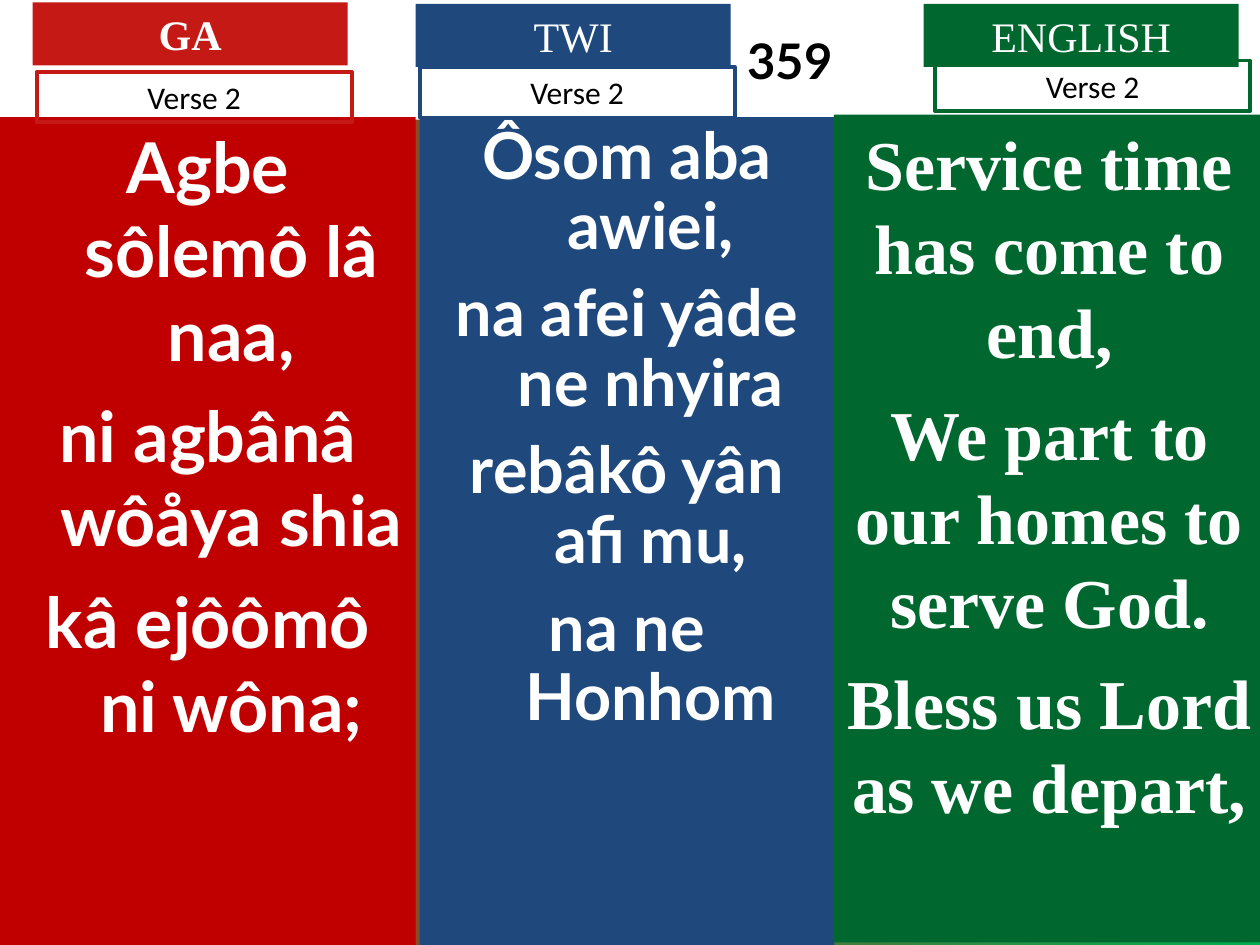
from pptx import Presentation, util as u
from pptx.dml.color import RGBColor
from pptx.enum import shapes, text

HYMN = "359"
VERSE = "Verse 2"
WHITE, BLACK = "FFFFFF", "000000"
BACKGROUND = ("C51915", "00B050")
PANEL_HEIGHT = 16.69
LABEL_WIDTH, HEADER_HEIGHT, VERSE_HEIGHT = 6.35, 1.27, 1.02
HANGING = 0.95

COLUMNS = [
    {
        "name": "GA", "bold": True, "accent": "C51915", "fill": "C00000",
        "panel": (0, 2.36, 8.38), "header": (0.66, 0.05), "verse": (0.74, 1.45),
        "lines": ["Agbe sôlemô lâ naa,", "ni agbânâ wôåya shia", "kâ ejôômô ni wôna;"],
        "style": {"size": 40, "font": "Lato", "hanging": HANGING},
    },
    {
        "name": "TWI", "bold": False, "accent": "1F497D", "fill": "1F497D",
        "panel": (8.46, 2.36, 8.36), "header": (8.38, 0.08), "verse": (8.46, 1.35),
        "lines": ["Ôsom aba awiei,", "na afei yâde ne nhyira", "rebâkô yân afi mu,", "na ne Honhom"],
        "style": {"size": 37, "font": "Lato", "hanging": HANGING, "spacing": 0.9},
    },
    {
        "name": "ENGLISH", "bold": False, "accent": "00682F", "fill": "00682F",
        "panel": (16.81, 2.31, 8.69), "header": (18.62, 0.08), "verse": (18.85, 1.22),
        "lines": ["Service time has come to end,", "We part to our homes to serve God.",
                  "Bless us Lord as we depart,"],
        "style": {"size": 40, "font": "Times New Roman", "spacing": u.Pt(48)},
    },
]


def color(value):
    return RGBColor.from_string(value)


def write(box, lines, size, font, ink=WHITE, bold=False, hanging=0, spacing=None,
          anchor=text.MSO_ANCHOR.TOP):
    frame = box.text_frame
    frame.word_wrap = True
    frame.auto_size = text.MSO_AUTO_SIZE.NONE
    frame.vertical_anchor = anchor
    for index, line in enumerate(lines):
        para = frame.add_paragraph() if index else frame.paragraphs[0]
        para.alignment = text.PP_ALIGN.CENTER
        para.space_before = u.Pt(10 if index else 0)
        if spacing:
            para.line_spacing = spacing
        if hanging:
            properties = para._p.get_or_add_pPr()
            properties.set("marL", str(u.Cm(hanging)))
            properties.set("indent", str(-u.Cm(hanging)))
        span = para.add_run()
        span.text = line
        span.font.size = u.Pt(size)
        span.font.name = font
        span.font.bold = bold
        span.font.color.rgb = color(ink)


def add_box(page, left, top, width, height, fill=None, line=None):
    box = page.shapes.add_shape(shapes.MSO_SHAPE.RECTANGLE,
                                u.Cm(left), u.Cm(top), u.Cm(width), u.Cm(height))
    box.shadow.inherit = False
    if fill:
        box.fill.solid()
        box.fill.fore_color.rgb = color(fill)
    else:
        box.fill.background()
    if line:
        box.line.color.rgb = color(line)
        box.line.width = u.Pt(2.25)
    else:
        box.line.fill.background()
    return box


def add_column(page, column):
    left, top, width = column["panel"]
    panel = add_box(page, left, top, width, PANEL_HEIGHT, fill=column["fill"])
    write(panel, column["lines"], bold=True, **column["style"])
    header = add_box(page, *column["header"], LABEL_WIDTH, HEADER_HEIGHT, fill=column["accent"])
    write(header, [column["name"]], 24, "Times New Roman", bold=column["bold"])
    verse = add_box(page, *column["verse"], LABEL_WIDTH, VERSE_HEIGHT, line=column["accent"])
    write(verse, [VERSE], 18, "Calibri", ink=BLACK)


def main():
    deck = Presentation()
    deck.slide_width, deck.slide_height = u.Cm(25.4), u.Cm(19.05)
    page = deck.slides.add_slide(deck.slide_layouts[5])

    backdrop = page.background.fill
    backdrop.gradient()
    backdrop.gradient_angle = 0
    for stop, value in zip(backdrop.gradient_stops, BACKGROUND):
        stop.color.rgb = color(value)

    title = page.shapes.title
    title.left, title.top, title.width, title.height = 0, 0, deck.slide_width, u.Cm(2.41)
    title.fill.solid()
    title.fill.fore_color.rgb = color(WHITE)
    title.text_frame.margin_left = u.Cm(6.71)
    write(title, [HYMN], 28, "Lato", ink=BLACK, bold=True, anchor=text.MSO_ANCHOR.MIDDLE)

    for column in COLUMNS:
        add_column(page, column)
    deck.save("out.pptx")


if __name__ == "__main__":
    main()
